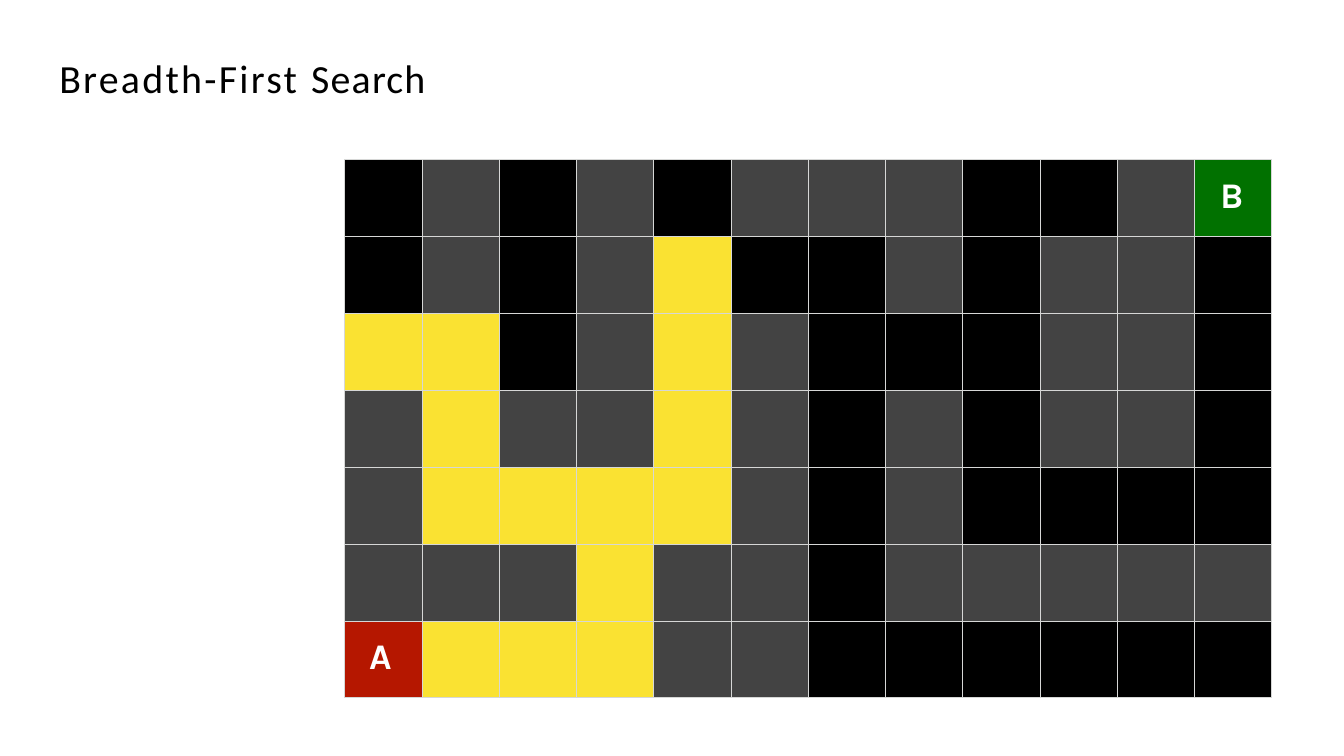
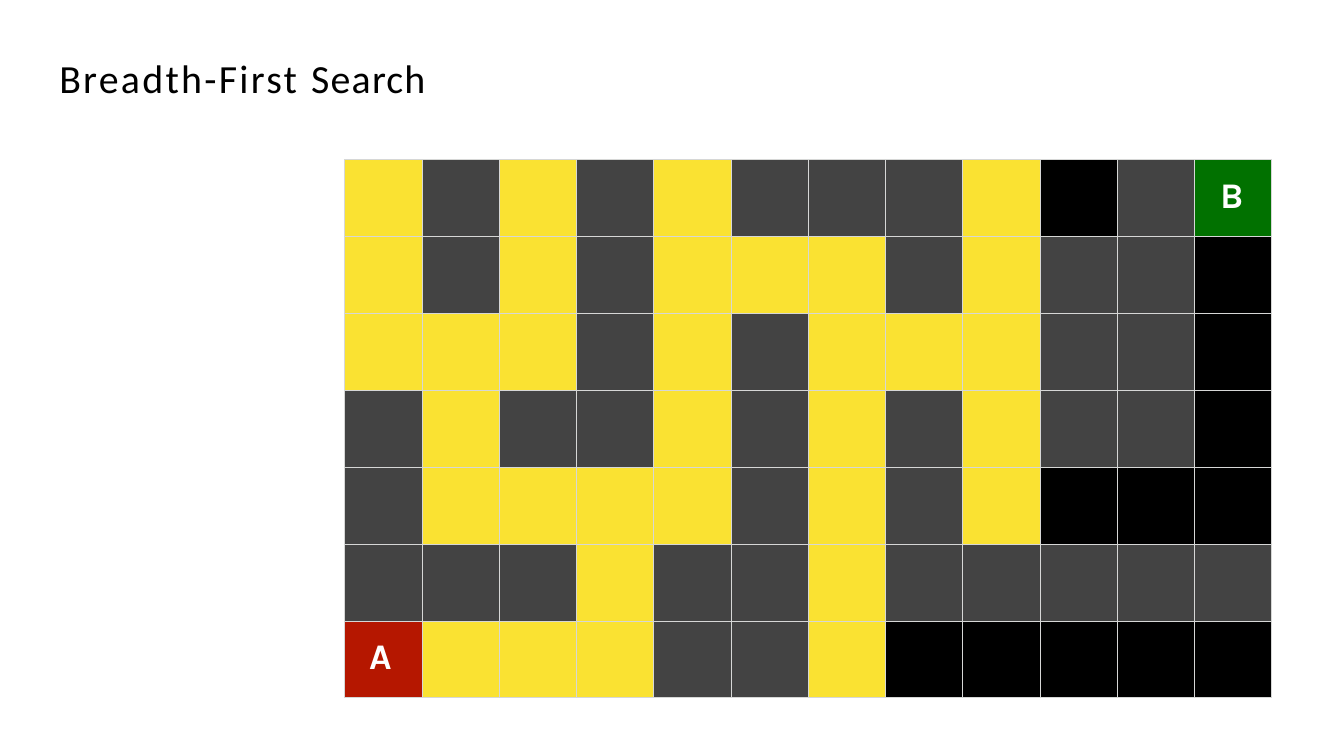
import pptx
import pptx.util
import pptx.dml.color
import pptx.enum.text
import pptx.oxml
import pptx.oxml.ns

Inches = pptx.util.Inches
Pt = pptx.util.Pt

hues = {
    "#": "434343",
    ".": "000000",
    "o": "FAE232",
    "A": "B51700",
    "B": "017100",
    "line": "D6D7D6",
    "title": "000000",
    "mark": "FFFFFF",
}
mazes = [
    [
        ".#.#.###..#B",
        ".#.#o..#.##.",
        "oo.#o#...##.",
        "#o##o#.#.##.",
        "#oooo#.#....",
        "###o##.#####",
        "Aooo##......",
    ],
    [
        "o#o#o###o.#B",
        "o#o#ooo#o##.",
        "ooo#o#ooo##.",
        "#o##o#o#o##.",
        "#oooo#o#o...",
        "###o##o#####",
        "Aooo##o.....",
    ],
]
insets = {"A": (0.4, 0.25), "B": (0.42, 0.26)}
words = [("Breadth-First ", 270), ("Search", 140)]


def add_run(para, text, face, size, hue, bold=False):
    run = para.add_run()
    run.text = text
    run.font.name = face
    run.font.size = Pt(size)
    run.font.bold = bold
    run.font.color.rgb = pptx.dml.color.RGBColor.from_string(hues[hue])
    return run


def add_lines(cell):
    props = cell._tc.get_or_add_tcPr()
    for side in ("lnL", "lnR", "lnT", "lnB"):
        props.append(pptx.oxml.parse_xml(
            f'<a:{side} {pptx.oxml.ns.nsdecls("a")} w="{Pt(1)}">'
            f'<a:solidFill><a:srgbClr val="{hues["line"]}"/></a:solidFill>'
            f'</a:{side}>'))


deck = pptx.Presentation()
deck.slide_width = Inches(21.99)
deck.slide_height = Inches(12.37)

for maze in mazes:
    slide = deck.slides.add_slide(deck.slide_layouts[5])

    title = slide.shapes.title
    title.left, title.top = Inches(0.96), Inches(0.86)
    title.width, title.height = Inches(6.68), Inches(0.81)
    frame = title.text_frame
    frame.margin_left = Inches(0.01)
    frame.margin_top = Inches(0.01)
    frame.margin_right = frame.margin_bottom = 0
    frame.vertical_anchor = pptx.enum.text.MSO_ANCHOR.MIDDLE
    frame.auto_size = pptx.enum.text.MSO_AUTO_SIZE.SHAPE_TO_FIT_TEXT
    para = frame.paragraphs[0]
    para.alignment = pptx.enum.text.PP_ALIGN.LEFT
    for text, gap in words:
        run = add_run(para, text, "Calibri", 47, "title")
        run.font._element.set("spc", str(gap))

    grid = slide.shapes.add_table(
        len(maze), len(maze[0]),
        Inches(5.64), Inches(2.61), Inches(15.17), Inches(8.81)).table
    grid.first_row = False
    grid.horz_banding = False
    for row, line in enumerate(maze):
        for col, mark in enumerate(line):
            cell = grid.cell(row, col)
            add_lines(cell)
            cell.fill.solid()
            cell.fill.fore_color.rgb = pptx.dml.color.RGBColor.from_string(hues[mark])
            if mark in insets:
                left, top = insets[mark]
                cell.margin_left, cell.margin_top = Inches(left), Inches(top)
                cell.margin_right = cell.margin_bottom = 0
                add_run(cell.text_frame.paragraphs[0], mark, "Karla", 42.5, "mark", True)

deck.save("out.pptx")
